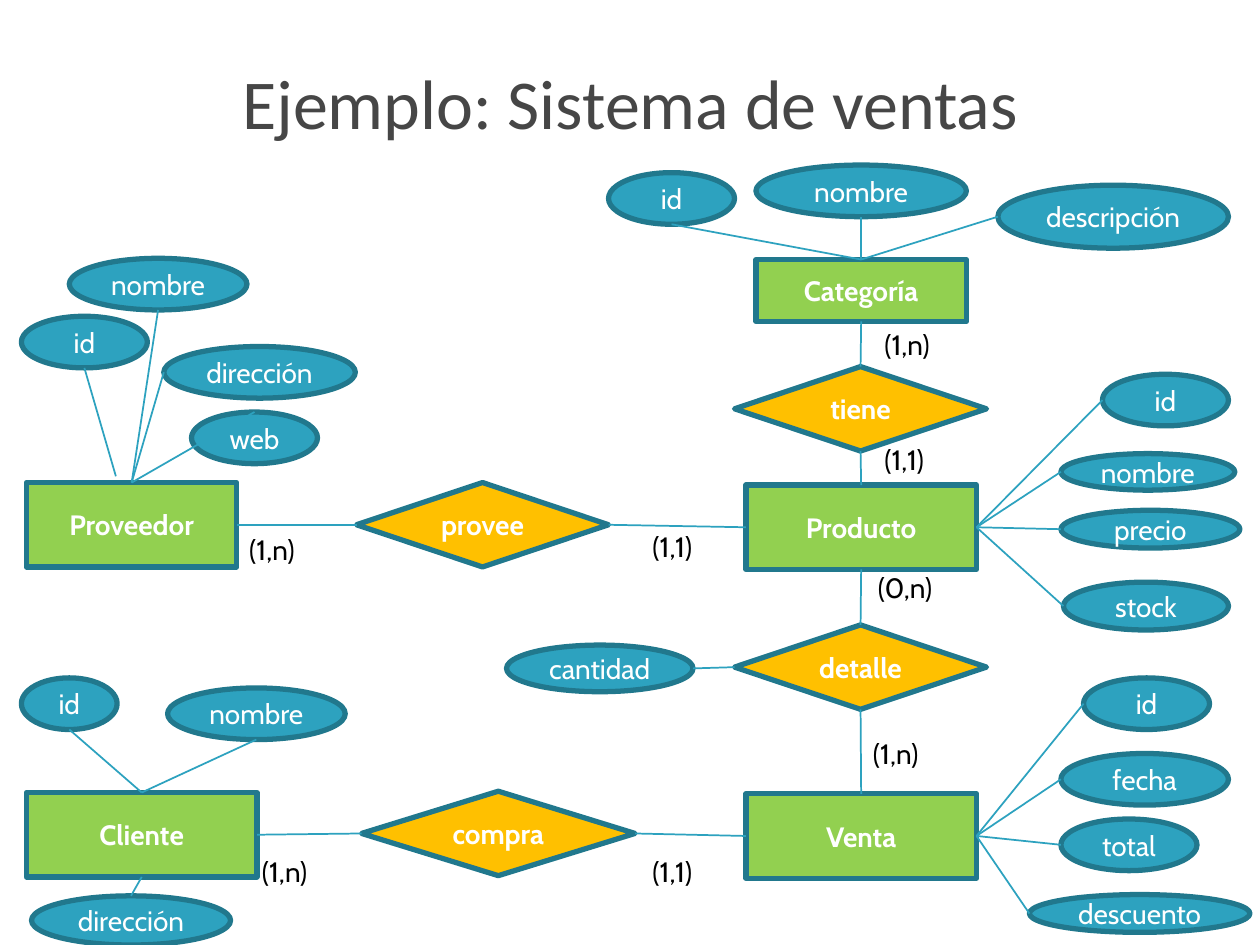
from dataclasses import dataclass
from typing import NamedTuple

import pptx
import pptx.dml.color
import pptx.enum.shapes
import pptx.enum.text
import pptx.oxml.ns
import pptx.util
from lxml import etree

Inches = pptx.util.Inches
SHAPE = pptx.enum.shapes.MSO_SHAPE
ALIGN = pptx.enum.text.PP_ALIGN
MIDDLE = pptx.enum.text.MSO_ANCHOR.MIDDLE


@dataclass(frozen=True)
class Theme:
    green: str = "92D050"
    gold: str = "FFC000"
    blue: str = "2DA2BF"
    edge: str = "21788D"
    white: str = "FFFFFF"
    black: str = "000000"
    gray: str = "464646"
    face: str = "Cabin"
    head_face: str = "Calibri"
    size: float = 16
    head_size: float = 40
    rim: float = 3
    wire: float = 1


THEME = Theme()


class Kind(NamedTuple):
    shape: int
    fill: str
    bold: bool


ENTITY = Kind(SHAPE.RECTANGLE, THEME.green, True)
BOND = Kind(SHAPE.FLOWCHART_DECISION, THEME.gold, True)
FIELD = Kind(SHAPE.OVAL, THEME.blue, False)


class Point(NamedTuple):
    x: float
    y: float


@dataclass(frozen=True)
class Node:
    kind: Kind
    text: str
    left: float
    top: float
    width: float
    height: float

    def port(self, side: str) -> Point:
        """Middle of one side: "l", "r", "t" or "b"."""
        across, down = {"l": (0, 0.5), "r": (1, 0.5), "t": (0.5, 0), "b": (0.5, 1)}[side]
        return Point(self.left + across * self.width, self.top + down * self.height)


class Fan(NamedTuple):
    """Fields that share one start point; each has the side its line meets."""
    start: Point
    fields: list[tuple[str, Node]]


class Link(NamedTuple):
    first: Node
    leave: str
    last: Node
    enter: str


class Note(NamedTuple):
    text: str
    left: float
    top: float


def field(side: str, text: str, left: float, top: float, width: float = 1,
          height: float = 0.41) -> tuple[str, Node]:
    return side, Node(FIELD, text, left, top, width, height)


vendor = Node(ENTITY, "Proveedor", 0.21, 3.83, 1.67, 0.67)
product = Node(ENTITY, "Producto", 5.92, 3.85, 1.83, 0.67)
group = Node(ENTITY, "Categoría", 6, 2.06, 1.67, 0.49)
sale = Node(ENTITY, "Venta", 5.92, 6.3, 1.83, 0.67)
client = Node(ENTITY, "Cliente", 0.21, 6.29, 1.83, 0.67)
supply = Node(BOND, "provee", 2.83, 3.83, 2, 0.67)
holds = Node(BOND, "tiene", 5.83, 2.91, 2, 0.67)
detail = Node(BOND, "detalle", 5.83, 4.96, 2, 0.67)
buys = Node(BOND, "compra", 2.87, 6.28, 2.17, 0.67)
NODES = [vendor, product, group, sale, client, supply, holds, detail, buys]

FANS = [
    Fan(group.port("t"), [
        field("b", "id", 4.83, 1.37),
        field("b", "nombre", 6, 1.31, 1.67),
        field("l", "descripción", 7.92, 1.47, 1.83, 0.5),
    ]),
    Fan(product.port("r"), [
        field("l", "id", 8.75, 2.97),
        field("l", "nombre", 8.42, 3.6, 1.38, 0.29),
        field("l", "precio", 8.42, 4.05, 1.42, 0.3),
        field("l", "stock", 8.44, 4.62, 1.31, 0.38),
    ]),
    Fan(Point(0.92, 3.78), [field("b", "id", 0.17, 2.51)]),
    Fan(vendor.port("t"), [
        field("b", "nombre", 0.55, 2.05, 1.41),
        field("l", "dirección", 1.3, 2.75, 1.52),
        field("t", "web", 1.52, 3.27),
    ]),
    Fan(detail.port("l"), [field("r", "cantidad", 4.02, 5.12, 1.48, 0.37)]),
    Fan(sale.port("r"), [
        field("l", "id", 8.6, 5.38),
        field("l", "fecha", 8.42, 5.98, 1.33),
        field("l", "total", 8.42, 6.5, 1.08),
        field("l", "descuento", 8.17, 7.1, 1.75, 0.3),
    ]),
    Fan(client.port("t"), [
        field("b", "id", 0.17, 5.38, 0.76),
        field("b", "nombre", 1.33, 5.46, 1.41),
    ]),
    Fan(client.port("b"), [field("t", "dirección", 0.25, 7.11, 1.58, 0.39)]),
]

LINKS = [
    Link(vendor, "r", supply, "l"),
    Link(supply, "r", product, "l"),
    Link(group, "b", holds, "t"),
    Link(holds, "b", product, "t"),
    Link(product, "b", detail, "t"),
    Link(detail, "b", sale, "t"),
    Link(client, "r", buys, "l"),
    Link(buys, "r", sale, "l"),
]

NOTES = [
    Note("(1,1)", 5.08, 4.15),
    Note("(1,1)", 6.92, 3.46),
    Note("(1,1)", 5.08, 6.73),
    Note("(1,n)", 6.92, 2.55),
    Note("(1,n)", 1.88, 4.18),
    Note("(1,n)", 6.83, 5.8),
    Note("(1,n)", 1.98, 6.73),
    Note("(0,n)", 6.87, 4.48),
]


def color(code: str) -> pptx.dml.color.RGBColor:
    return pptx.dml.color.RGBColor.from_string(code)


def write(frame, text: str, ink: str, align=ALIGN.CENTER, bold: bool = False,
          face: str = THEME.face, size: float = THEME.size) -> None:
    frame.word_wrap = True
    frame.text = text
    line = frame.paragraphs[0]
    line.alignment = align
    line.font.name, line.font.size, line.font.bold = face, pptx.util.Pt(size), bold
    line.font.color.rgb = color(ink)


def draw_node(slide, node: Node) -> None:
    box = map(Inches, (node.left, node.top, node.width, node.height))
    shape = slide.shapes.add_shape(node.kind.shape, *box)
    shape.shadow.inherit = False
    shape.fill.solid()
    shape.fill.fore_color.rgb = color(node.kind.fill)
    shape.line.color.rgb = color(THEME.edge)
    shape.line.width = pptx.util.Pt(THEME.rim)
    frame = shape.text_frame
    frame.margin_left = frame.margin_right = 0
    frame.vertical_anchor = MIDDLE
    write(frame, node.text, THEME.white, bold=node.kind.bold)


def draw_wire(slide, start: Point, end: Point) -> None:
    wire = slide.shapes.add_connector(
        pptx.enum.shapes.MSO_CONNECTOR.STRAIGHT, *map(Inches, (*start, *end)))
    wire.line.color.rgb = color(THEME.blue)
    wire.line.width = pptx.util.Pt(THEME.wire)
    etree.SubElement(wire._element.spPr, pptx.oxml.ns.qn("a:effectLst"))


def draw_note(slide, note: Note) -> None:
    box = slide.shapes.add_textbox(*map(Inches, (note.left, note.top, 0.83, 0.37)))
    write(box.text_frame, note.text, THEME.black, ALIGN.LEFT)


def draw_title(slide, text: str) -> None:
    box = slide.shapes.add_textbox(*map(Inches, (0.5, 0.18, 9, 1.25)))
    box.text_frame.vertical_anchor = MIDDLE
    write(box.text_frame, text, THEME.gray, face=THEME.head_face, size=THEME.head_size)


def main() -> None:
    deck = pptx.Presentation()
    deck.slide_width, deck.slide_height = Inches(10), Inches(7.5)
    slide = deck.slides.add_slide(deck.slide_layouts[6])
    draw_title(slide, "Ejemplo: Sistema de ventas")
    for node in NODES + [item for fan in FANS for _, item in fan.fields]:
        draw_node(slide, node)
    for fan in FANS:
        for side, item in fan.fields:
            draw_wire(slide, fan.start, item.port(side))
    for link in LINKS:
        draw_wire(slide, link.first.port(link.leave), link.last.port(link.enter))
    for note in NOTES:
        draw_note(slide, note)
    deck.save("out.pptx")


if __name__ == "__main__":
    main()
